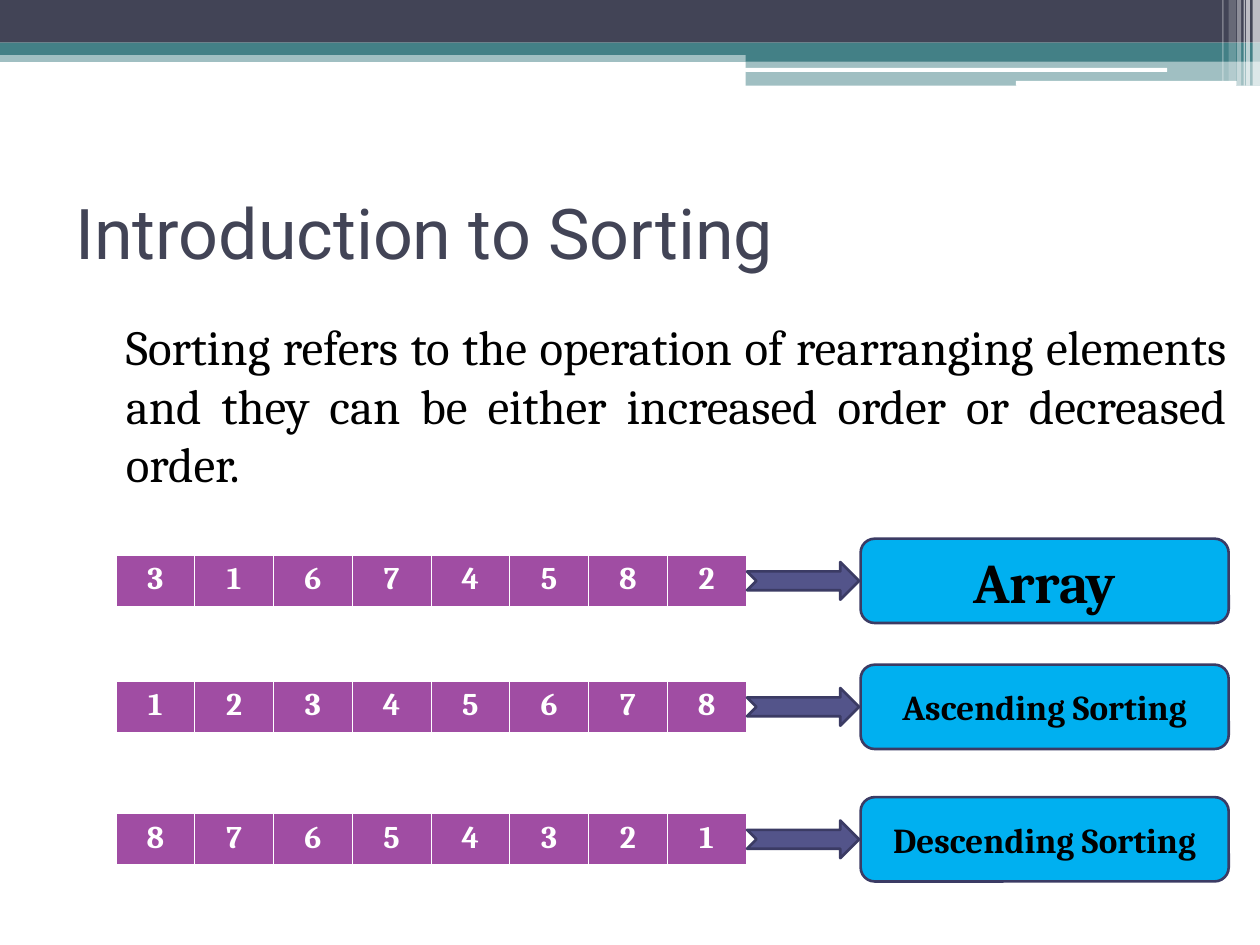
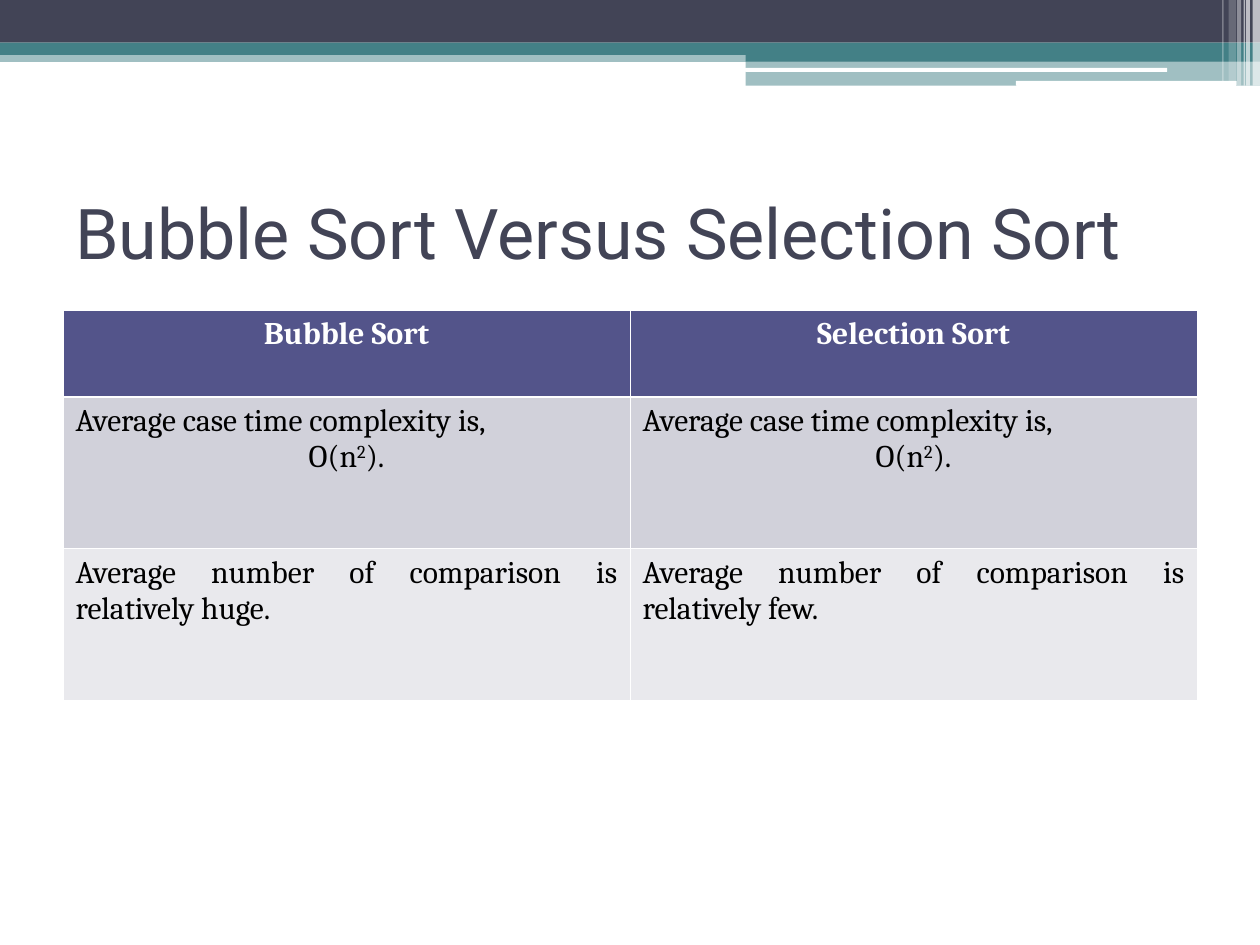
from lxml import etree
from pptx import Presentation
from pptx.dml.color import RGBColor
from pptx.enum.shapes import MSO_SHAPE
from pptx.enum.text import MSO_ANCHOR, PP_ALIGN
from pptx.oxml.ns import qn
from pptx.util import Cm, Pt

RECT = MSO_SHAPE.RECTANGLE
ROUNDED = MSO_SHAPE.ROUNDED_RECTANGLE
NOTCHED_ARROW = MSO_SHAPE.NOTCHED_RIGHT_ARROW
LEFT, CENTER, JUSTIFY = PP_ALIGN.LEFT, PP_ALIGN.CENTER, PP_ALIGN.JUSTIFY
TOP, MIDDLE = MSO_ANCHOR.TOP, MSO_ANCHOR.MIDDLE

COLORS = {
    "slate": "424456", "teal": "438086", "white": "FFFFFF", "black": "000000",
    "purple": "A04DA3", "indigo": "53548A", "outline": "3B3B64", "sky": "00B0F0",
    "row_dark": "D1D1DA", "row_light": "E9E9ED",
}
TITLE_FONT, BODY_FONT = "Roboto", "Cambria"
THIN, THICK = 0.45, 1.47

HEADER_BANDS = [
    (RECT, 0, 1.02, 25.4, 0.23, "teal", 50),
    (RECT, 0, 0, 25.4, 0.86, "slate", 100),
    (RECT, 0, 0.86, 25.4, 0.25, "teal", 100),
    (RECT, 15.03, 0.99, 10.37, 0.25, "teal", 100),
    (RECT, 15.03, 1.23, 10.37, 0.5, "teal", 50),
    (ROUNDED, 15.02, 1.37, 8.51, 0.08, "white", 100),
    (ROUNDED, 20.48, 1.63, 4.45, 0.1, "white", 100),
    (RECT, 25.25, 0, 0.15, 1.73, "white", 65),
    (RECT, 25.12, 0, 0.08, 1.73, "white", 65),
    (RECT, 25.07, 0, 0.03, 1.73, "white", 60),
    (RECT, 24.94, 0, 0.08, 1.73, "white", 40),
    (RECT, 24.77, 0, 0.15, 1.63, "white", 20),
    (RECT, 24.64, 0, 0.03, 1.63, "white", 30),
]

INTRO_TITLE = "Introduction to Sorting"
DEFINITION = ("Sorting refers to the operation of rearranging elements and they can be "
              "either increased order or decreased order.")
SEQUENCES = [
    ("Array", 32, 11.71, [3, 1, 6, 7, 4, 5, 8, 2]),
    ("Ascending Sorting", 20, 14.25, [1, 2, 3, 4, 5, 6, 7, 8]),
    ("Descending Sorting", 20, 16.92, [8, 7, 6, 5, 4, 3, 2, 1]),
]

VERSUS_TITLE = "Bubble Sort Versus Selection Sort"
AVERAGE_CASE = [(JUSTIFY, ["Average case time complexity is,"]),
                (CENTER, ["O(n", "2", ")."])]
COMPARISON = [
    [[(CENTER, ["Bubble Sort"])], [(CENTER, ["Selection Sort"])]],
    [AVERAGE_CASE, AVERAGE_CASE],
    [[(JUSTIFY, ["Average number of comparison is relatively huge."])],
     [(JUSTIFY, ["Average number of comparison is relatively few."])]],
]
COMPARISON_ROWS = [
    (1.75, "indigo", "white", True, THIN, THICK),
    (3.06, "row_dark", "black", False, THICK, THIN),
    (3.06, "row_light", "black", False, THIN, THIN),
]


def rgb(name):
    return RGBColor.from_string(COLORS[name])


def write(frame, paragraphs, size, color, font=BODY_FONT, bold=False):
    for number, (alignment, pieces) in enumerate(paragraphs):
        paragraph = frame.add_paragraph() if number else frame.paragraphs[0]
        paragraph.alignment = alignment
        for position, piece in enumerate(pieces):
            run = paragraph.add_run()
            run.text = piece
            run.font.name, run.font.size, run.font.bold = font, Pt(size), bold
            run.font.color.rgb = rgb(color)
            if position % 2:
                run._r.get_or_add_rPr().set("baseline", "30000")


def add_block(slide, kind, left, top, width, height, fill, outline=None, opacity=100):
    block = slide.shapes.add_shape(kind, Cm(left), Cm(top), Cm(width), Cm(height))
    block.shadow.inherit = False
    block.fill.solid()
    block.fill.fore_color.rgb = rgb(fill)
    if opacity < 100:
        color = block._element.spPr.find(".//" + qn("a:srgbClr"))
        etree.SubElement(color, qn("a:alpha"), val=str(opacity * 1000))
    if outline:
        block.line.color.rgb = rgb(outline)
        block.line.width = Pt(1.5)
    else:
        block.line.fill.background()
    return block


def add_text(slide, left, top, width, height, anchor):
    frame = slide.shapes.add_textbox(Cm(left), Cm(top), Cm(width), Cm(height)).text_frame
    frame.word_wrap = True
    frame.vertical_anchor = anchor
    return frame


def add_titled_slide(deck, title):
    slide = deck.slides.add_slide(deck.slide_layouts[6])
    for kind, left, top, width, height, color, opacity in HEADER_BANDS:
        add_block(slide, kind, left, top, width, height, color, opacity=opacity)
    heading = add_text(slide, 1.27, 3.18, 22.86, 2.97, MIDDLE)
    write(heading, [(LEFT, [title])], 40, "slate", TITLE_FONT)
    return slide


def add_grid(slide, left, top, width, cells, row_styles):
    height = sum(style[0] for style in row_styles)
    columns = len(cells[0])
    table = slide.shapes.add_table(len(cells), columns, Cm(left), Cm(top),
                                   Cm(width), Cm(height)).table
    table.first_row = table.horz_banding = False
    for column in table.columns:
        column.width = Cm(width / columns)
    for row, contents, style in zip(table.rows, cells, row_styles):
        row_height, fill, color, bold, above, below = style
        row.height = Cm(row_height)
        for cell, paragraphs in zip(row.cells, contents):
            set_borders(cell, above, below)
            cell.fill.solid()
            cell.fill.fore_color.rgb = rgb(fill)
            write(cell.text_frame, paragraphs, 18, color, bold=bold)


def set_borders(cell, above, below):
    properties = cell._tc.get_or_add_tcPr()
    for side, points in (("L", THIN), ("R", THIN), ("T", above), ("B", below)):
        border = etree.SubElement(properties, qn("a:ln" + side), w=str(Pt(points)))
        fill = etree.SubElement(border, qn("a:solidFill"))
        etree.SubElement(fill, qn("a:srgbClr"), val=COLORS["white"])


def build_introduction(deck):
    slide = add_titled_slide(deck, INTRO_TITLE)
    definition = add_text(slide, 1.27, 6.25, 23.7, 4.5, TOP)
    write(definition, [(JUSTIFY, [DEFINITION])], 28, "black")
    definition.paragraphs[0]._p.get_or_add_pPr().set("marL", str(Cm(1.02)))

    number_row, arrow_height, label_height = 1.04, 0.76, 1.7
    for label, size, middle, numbers in SEQUENCES:
        cells = [[[(CENTER, [str(number)])] for number in numbers]]
        add_grid(slide, 2.34, middle - number_row / 2, 12.7, cells,
                 [(number_row, "purple", "white", True, THIN, THICK)])
        add_block(slide, NOTCHED_ARROW, 15.06, middle - arrow_height / 2, 2.26,
                  arrow_height, "indigo", "outline")
        box = add_block(slide, ROUNDED, 17.35, middle - label_height / 2, 7.42,
                        label_height, "sky", "outline")
        box.text_frame.word_wrap = True
        box.text_frame.vertical_anchor = MIDDLE
        write(box.text_frame, [(CENTER, [label])], size, "black", bold=True)


def build_comparison(deck):
    slide = add_titled_slide(deck, VERSUS_TITLE)
    add_grid(slide, 1.27, 6.25, 22.86, COMPARISON, COMPARISON_ROWS)


def main():
    deck = Presentation()
    deck.slide_width, deck.slide_height = Cm(25.4), Cm(19.05)
    build_introduction(deck)
    build_comparison(deck)
    deck.save("out.pptx")


if __name__ == "__main__":
    main()
